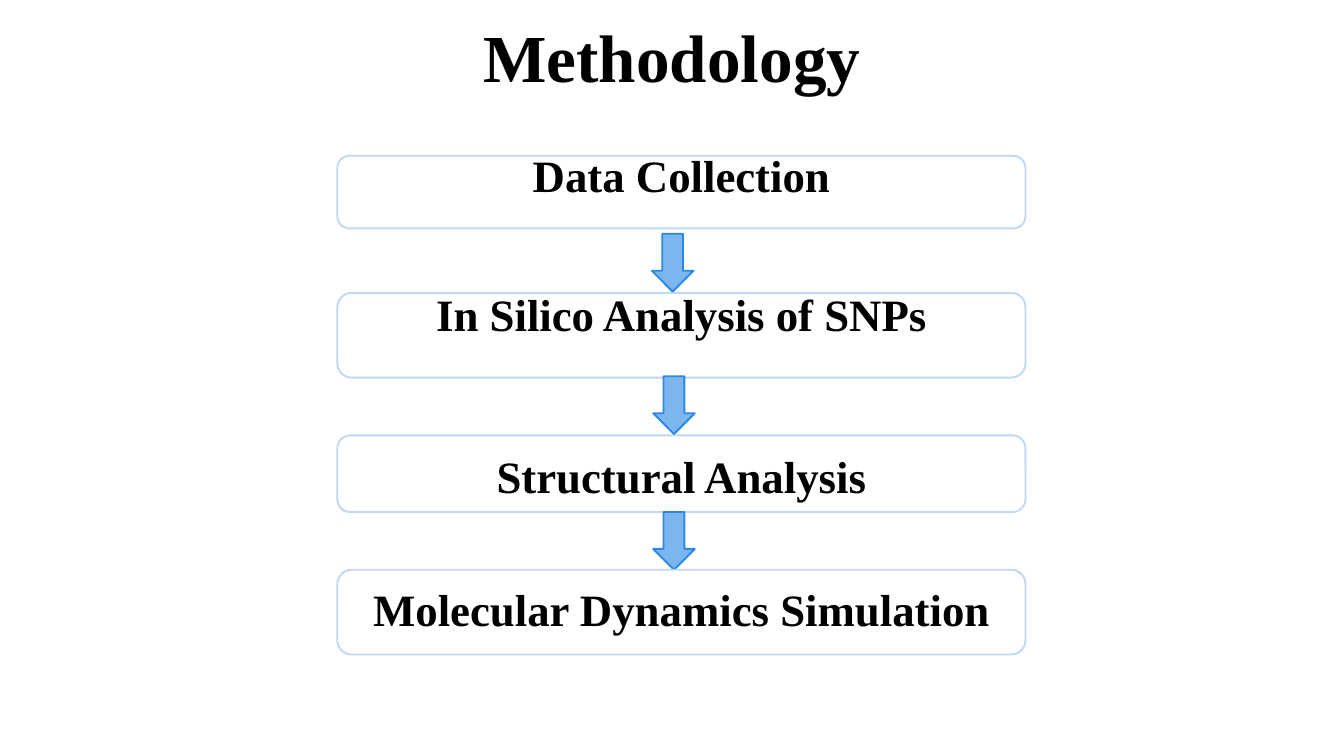
from pptx import Presentation
from pptx.dml.color import RGBColor
from pptx.enum import shapes, text
from pptx.util import Inches, Pt

BLACK = RGBColor(0, 0, 0)
WHITE = RGBColor(255, 255, 255)
PALE = RGBColor(0xC0, 0xD7, 0xF5)
SKY = RGBColor(0x7D, 0xB6, 0xEF)
BLUE = RGBColor(0x2C, 0x88, 0xE5)

STEPS = [
    ("Data Collection", 1.16, 0.54, 0.09, Pt(16)),
    ("In Silico Analysis of SNPs", 2.18, 0.63, 0.1, Pt(16)),
    ("Structural Analysis", 3.24, 0.57, 0.07, None),
    ("Molecular Dynamics Simulation", 4.24, 0.63, 0.06, None),
]
ARROWS = [(4.85, 1.74), (4.86, 2.8), (4.86, 3.81)]


def write(frame, words, size=24, lead=None, anchor=text.MSO_ANCHOR.TOP):
    frame.word_wrap = True
    frame.vertical_anchor = anchor
    para = frame.paragraphs[0]
    para.alignment = text.PP_ALIGN.CENTER
    para.line_spacing = lead
    run = para.add_run()
    run.text = words
    font = run.font
    font.name = "Times New Roman"
    font.size = Pt(size)
    font.bold = True
    font.color.rgb = BLACK


def draw(slide, kind, left, top, width, height, fill, line):
    shape = slide.shapes.add_shape(
        kind, Inches(left), Inches(top), Inches(width), Inches(height))
    shape.shadow.inherit = False
    shape.fill.solid()
    shape.fill.fore_color.rgb = fill
    shape.line.color.rgb = line
    shape.line.width = Pt(1)
    return shape


def add_step(slide, words, top, height, inset, lead):
    box = draw(slide, shapes.MSO_SHAPE.ROUNDED_RECTANGLE,
               2.51, top, 5.12, height, WHITE, PALE)
    frame = box.text_frame
    frame.margin_top = Inches(inset)
    frame.margin_bottom = 0
    write(frame, words, lead=lead)


def add_title(slide, words):
    title = slide.shapes.title
    title.left, title.top = Inches(0.5), Inches(-0.06)
    title.width, title.height = Inches(9), Inches(0.94)
    write(title.text_frame, words, size=36, anchor=text.MSO_ANCHOR.MIDDLE)


def main():
    deck = Presentation()
    deck.slide_width = Inches(10)
    deck.slide_height = deck.slide_width * 9 // 16
    slide = deck.slides.add_slide(deck.slide_layouts[5])
    add_title(slide, "Methodology")
    for step in STEPS[:-1]:
        add_step(slide, *step)
    for left, top in ARROWS:
        draw(slide, shapes.MSO_SHAPE.DOWN_ARROW,
             left, top, 0.31, 0.43, SKY, BLUE)
    add_step(slide, *STEPS[-1])
    deck.save("out.pptx")


if __name__ == "__main__":
    main()
